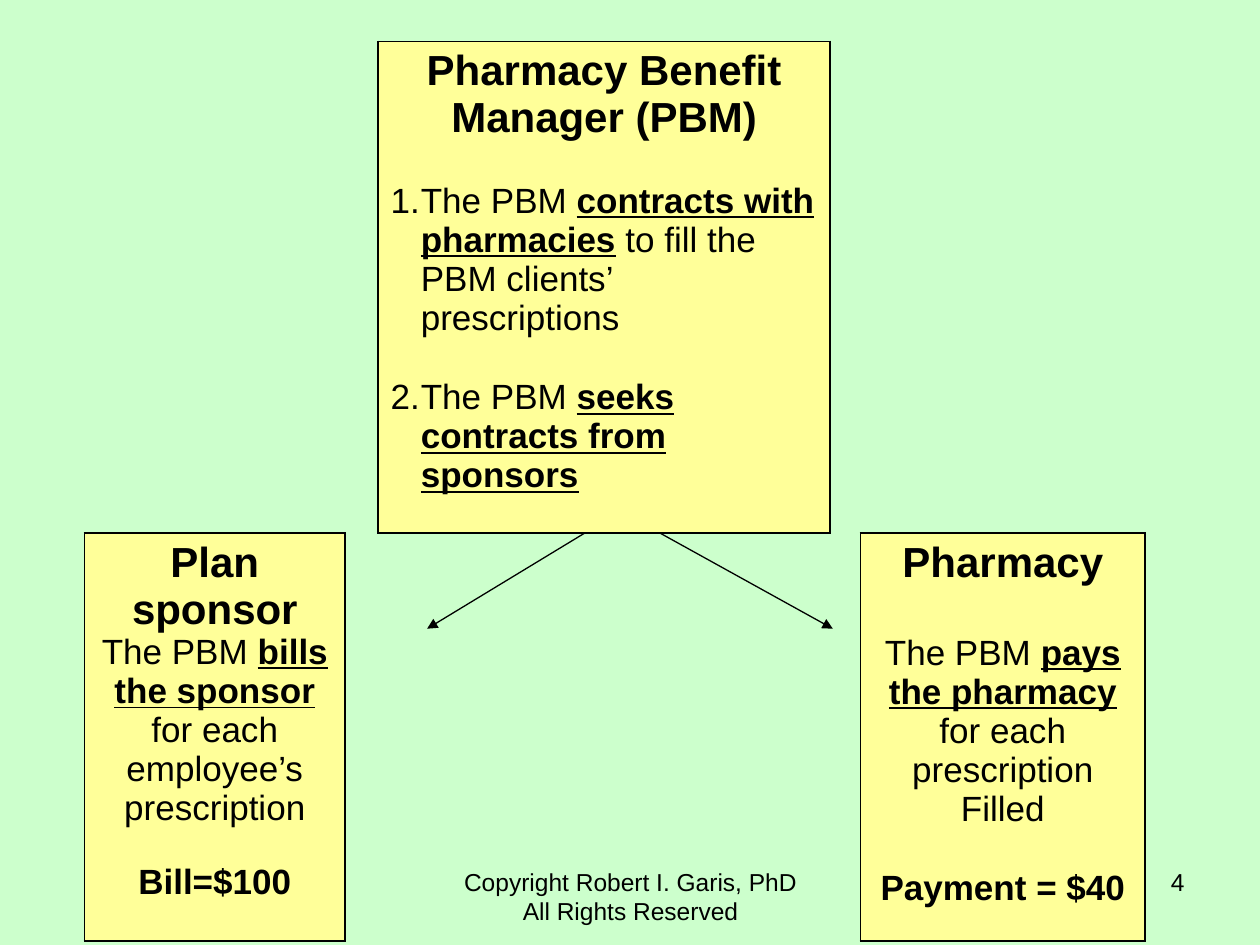
from collections import namedtuple

from lxml import etree
from pptx import Presentation
from pptx.dml.color import RGBColor
from pptx.enum.shapes import MSO_CONNECTOR
from pptx.enum.text import PP_ALIGN
from pptx.oxml.ns import qn
from pptx.util import Inches, Pt

GREEN = RGBColor(0xCC, 0xFF, 0xCC)
YELLOW = RGBColor(0xFF, 0xFF, 0x99)
BLACK = RGBColor(0, 0, 0)
LEFT, CENTER, RIGHT = PP_ALIGN.LEFT, PP_ALIGN.CENTER, PP_ALIGN.RIGHT
STRAIGHT = MSO_CONNECTOR.STRAIGHT
FONT = "Arial"
WIDTH, HEIGHT = Inches(10), Inches(7.5)
HANGING = Inches(0.24)

Box = namedtuple("Box", "left top width height")
Line = namedtuple("Line", "runs size align before numbered", defaults=(20, CENTER, 0, False))

TABLE_BOX = Box(0.67, 0.33, 8.42, 7.14)
COLUMN_SHARES = (2.07, 0.26, 3.59, 0.24, 2.26)
ROW_SHARES = (3.9, 3.24)
PARTIES = {
    (0, 2): [
        Line(["*Pharmacy Benefit Manager (PBM)"], 24),
        Line(["The PBM ", "_contracts with pharmacies", " to fill the PBM clients’ prescriptions"],
             20, LEFT, 23, True),
        Line(["The PBM ", "_seeks contracts from sponsors"], 20, LEFT, 23, True),
    ],
    (1, 0): [
        Line(["*Plan sponsor"], 24),
        Line(["The PBM ", "_bills the sponsor", " for each employee’s prescription"]),
        Line(["*Bill=$100"], before=20),
    ],
    (1, 4): [
        Line(["*Pharmacy"], 24),
        Line(["The PBM ", "_pays the pharmacy", " for each prescription"], before=27),
        Line(["Filled"]),
        Line(["*Payment = $40"], before=23),
    ],
}


def place(box):
    """Turn a box in slide inches into lengths."""
    return [Inches(value) for value in box]


def number_paragraph(paragraph):
    """Give a paragraph a hanging automatic number."""
    properties = paragraph._p.get_or_add_pPr()
    properties.set("marL", str(HANGING))
    properties.set("indent", str(-HANGING))
    etree.SubElement(properties, qn("a:buFont"), typeface=FONT)
    etree.SubElement(properties, qn("a:buAutoNum"), type="arabicPeriod")


def write_lines(text_frame, lines):
    """Write lines whose runs start with * for bold or _ for bold underlined."""
    text_frame.word_wrap = True
    for index, line in enumerate(lines):
        paragraph = text_frame.add_paragraph() if index else text_frame.paragraphs[0]
        paragraph.alignment = line.align
        if line.before:
            paragraph.space_before = Pt(line.before)
        if line.numbered:
            number_paragraph(paragraph)
        for text in line.runs:
            run = paragraph.add_run()
            run.text = text.lstrip("*_")
            run.font.name, run.font.size = FONT, Pt(line.size)
            run.font.bold = text[0] in "*_"
            run.font.underline = text[0] == "_"
            run.font.color.rgb = BLACK


def draw_borders(cell, row, column):
    """Rule each edge that touches a party's cell and clear the others."""
    neighbours = {"L": (row, column - 1), "R": (row, column + 1),
                  "T": (row - 1, column), "B": (row + 1, column)}
    properties = cell._tc.get_or_add_tcPr()
    for side, neighbour in neighbours.items():
        border = etree.SubElement(properties, qn(f"a:ln{side}"), w=str(Pt(1.08)))
        if (row, column) in PARTIES or neighbour in PARTIES:
            fill = etree.SubElement(border, qn("a:solidFill"))
            etree.SubElement(fill, qn("a:srgbClr"), val=str(BLACK))
        else:
            etree.SubElement(border, qn("a:noFill"))


def add_party_table(slide, box):
    """Add the table that holds the manager, the sponsor and the pharmacy."""
    table = slide.shapes.add_table(len(ROW_SHARES), len(COLUMN_SHARES), *place(box)).table
    table.first_row = table.horz_banding = False
    for column, share in zip(table.columns, COLUMN_SHARES):
        column.width = Inches(box.width * share / sum(COLUMN_SHARES))
    for row, share in zip(table.rows, ROW_SHARES):
        row.height = Inches(box.height * share / sum(ROW_SHARES))
    for row in range(len(ROW_SHARES)):
        for column in range(len(COLUMN_SHARES)):
            cell = table.cell(row, column)
            draw_borders(cell, row, column)
            if (row, column) in PARTIES:
                cell.fill.solid()
                cell.fill.fore_color.rgb = YELLOW
                write_lines(cell.text_frame, PARTIES[row, column])
            else:
                cell.fill.background()


def add_arrow(slide, box):
    """Add an arrow across a box, leftwards when its width is negative."""
    left, top, width, height = place(box)
    arrow = slide.shapes.add_connector(STRAIGHT, left, top, left + width, top + height)
    arrow.line.color.rgb = BLACK
    arrow.line.width = Pt(0.75)
    etree.SubElement(arrow.line._get_or_add_ln(), qn("a:tailEnd"), type="triangle")
    etree.SubElement(arrow._element.spPr, qn("a:effectLst"))


def add_footer(slide, box, text, align):
    """Add a footer text, with a vertical tab as its line break."""
    text_frame = slide.shapes.add_textbox(*place(box)).text_frame
    text_frame.word_wrap = True
    text_frame.text = text
    paragraph = text_frame.paragraphs[0]
    paragraph.alignment = align
    for run in paragraph.runs:
        run.font.name, run.font.size = FONT, Pt(14)
        run.font.color.rgb = BLACK


def main():
    """Build the slide and save it."""
    presentation = Presentation()
    presentation.slide_width, presentation.slide_height = WIDTH, HEIGHT
    slide = presentation.slides.add_slide(presentation.slide_layouts[6])
    slide.background.fill.solid()
    slide.background.fill.fore_color.rgb = GREEN
    add_arrow(slide, Box(4.84, 4.11, -1.45, 0.88))
    add_arrow(slide, Box(5.02, 4.11, 1.59, 0.88))
    add_party_table(slide, TABLE_BOX)
    add_footer(slide, Box(3.42, 6.83, 3.17, 0.52),
               "Copyright Robert I. Garis, PhD\vAll Rights Reserved", CENTER)
    add_footer(slide, Box(7.17, 6.83, 2.33, 0.52), "4", RIGHT)
    presentation.save("out.pptx")


if __name__ == "__main__":
    main()
